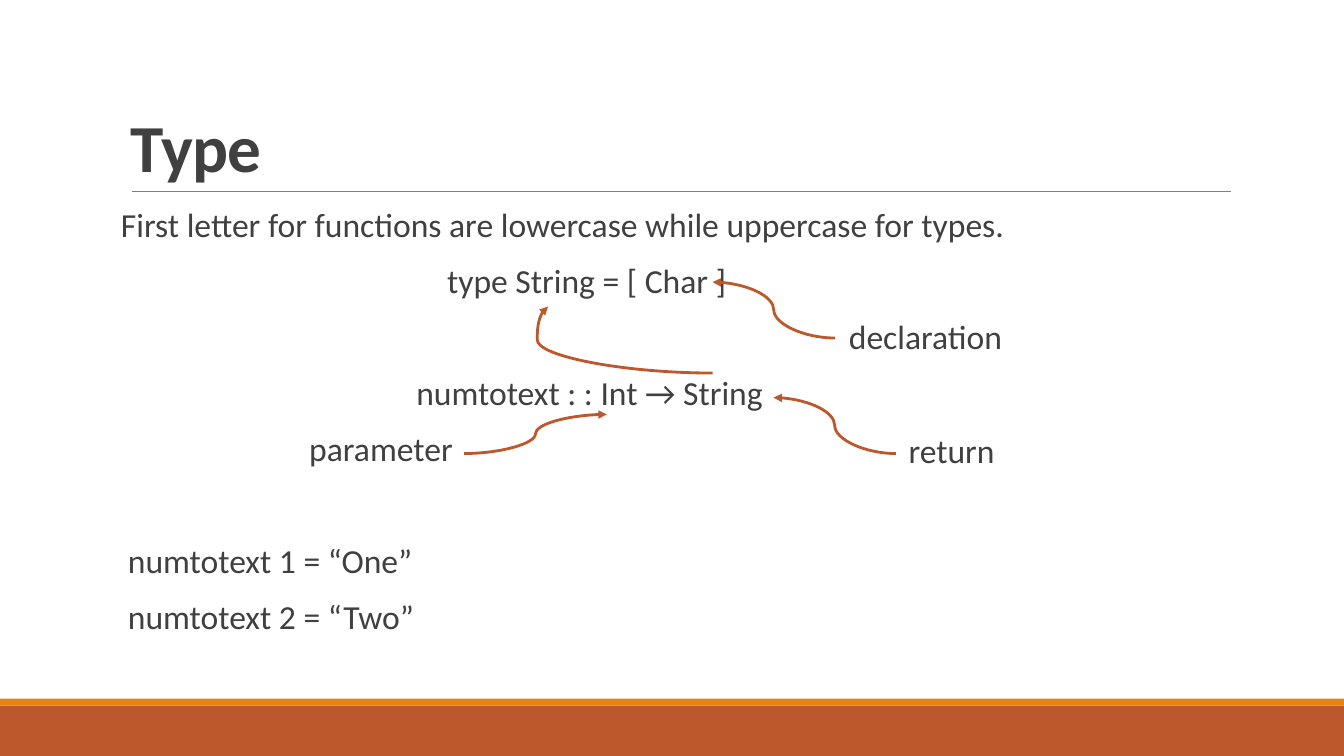
from dataclasses import dataclass

import pptx
import pptx.dml.color
import pptx.enum.shapes
import pptx.enum.text
import pptx.oxml
import pptx.oxml.ns
import pptx.util

Pt = pptx.util.Pt
Connector = pptx.enum.shapes.MSO_CONNECTOR
Anchor = pptx.enum.text.MSO_ANCHOR

WIDTH, HEIGHT = 960, 540
TEXT, RUST, ORANGE, GRAY = "404040", "BD582C", "E48312", "808080"
BODY_LEFT, BODY_TOP, BODY_WIDTH = 86.4, 145.4, 792
LINE_PITCH = 40.3


@dataclass
class Band:
    top: float
    height: float
    color: str


@dataclass
class Line:
    text: str
    indent: float = 0
    before: float = 12


@dataclass
class Arrow:
    start: tuple[float, float]
    end: tuple[float, float]
    bend: int = 50000


BANDS = [Band(504, 36, RUST), Band(499, 5, ORANGE)]

BODY = [
    Line("First letter for functions are lowercase while uppercase for types."),
    Line("type String = [ Char ]", 233),
    Line("declaration", 520),
    Line("numtotext : : Int → String", 211),
    Line("parameter", 134.5),
    Line("numtotext 1 = “One”", 5, 12 + LINE_PITCH),
    Line("numtotext 2 = “Two”", 5),
]
RETURN = Line("return")

ARROWS = [
    Arrow((596.5, 241.5), (509, 201.5)),    # declaration to type
    Arrow((640, 324), (552.5, 284)),        # return to String
    Arrow((331.5, 324), (433.5, 296)),      # parameter to Int
    Arrow((509, 266.5), (391.5, 219), 106600),  # String to its type
]


def rgb(color: str) -> pptx.dml.color.RGBColor:
    return pptx.dml.color.RGBColor.from_string(color)


def add_band(slide, band: Band) -> None:
    bar = slide.shapes.add_shape(
        pptx.enum.shapes.MSO_SHAPE.RECTANGLE, 0, Pt(band.top), Pt(WIDTH), Pt(band.height))
    bar.shadow.inherit = False
    bar.fill.solid()
    bar.fill.fore_color.rgb = rgb(band.color)
    bar.line.fill.background()


def add_line(slide, kind, start: tuple[float, float], end: tuple[float, float],
             color: str, width: float):
    line = slide.shapes.add_connector(kind, *(Pt(value) for value in start + end))
    line.line.color.rgb = rgb(color)
    line.line.width = Pt(width)
    pptx.oxml.ns.qn("a:effectLst")
    line._element.spPr.append(pptx.oxml.parse_xml(
        f'<a:effectLst {pptx.oxml.ns.nsdecls("a")}/>'))
    return line


def add_arrow(slide, arrow: Arrow) -> None:
    curve = add_line(slide, Connector.CURVE, arrow.start, arrow.end, RUST, 2)
    namespace = pptx.oxml.ns.nsdecls("a")
    curve.line._get_or_add_ln().append(
        pptx.oxml.parse_xml(f'<a:tailEnd {namespace} type="triangle"/>'))
    geometry = curve._element.spPr.find(pptx.oxml.ns.qn("a:prstGeom"))
    geometry.find(pptx.oxml.ns.qn("a:avLst")).append(pptx.oxml.parse_xml(
        f'<a:gd {namespace} name="adj1" fmla="val {arrow.bend}"/>'))


def add_frame(slide, left: float, top: float, width: float, height: float,
              side_inset: float, anchor):
    frame = slide.shapes.add_textbox(Pt(left), Pt(top), Pt(width), Pt(height)).text_frame
    frame.word_wrap = True
    frame.vertical_anchor = anchor
    frame.margin_left = frame.margin_right = Pt(side_inset)
    return frame


def format_run(paragraph, size: float, bold: bool = False):
    run = paragraph.runs[0]
    run.font.name = "Calibri"
    run.font.size = Pt(size)
    run.font.bold = bold
    run.font.color.rgb = rgb(TEXT)
    return run


def fill_frame(frame, lines: list[Line]) -> None:
    frame.text = "\n".join(line.text for line in lines)
    for paragraph, line in zip(frame.paragraphs, lines):
        paragraph.line_spacing = 0.9
        paragraph.space_before = Pt(line.before)
        paragraph.space_after = Pt(2)
        paragraph._p.get_or_add_pPr().set("marL", str(Pt(line.indent)))
        format_run(paragraph, 24)


def main() -> None:
    deck = pptx.Presentation()
    deck.slide_width, deck.slide_height = Pt(WIDTH), Pt(HEIGHT)
    slide = deck.slides.add_slide(deck.slide_layouts[6])

    # Footer bands and title rule
    for band in BANDS:
        add_band(slide, band)
    add_line(slide, Connector.STRAIGHT, (94.3, 136.8), (879, 136.8), GRAY, 0.5)

    # Title
    title = add_frame(slide, BODY_LEFT, 22.3, BODY_WIDTH, 114.5, 7.2, Anchor.BOTTOM)
    title.text = "Type"
    title.paragraphs[0].line_spacing = 0.85
    format_run(title.paragraphs[0], 48, True).font._element.set("spc", "-50")

    # Body, with the return label beside the parameter line
    fill_frame(add_frame(slide, BODY_LEFT, BODY_TOP, BODY_WIDTH, 316.8, 0, Anchor.TOP), BODY)
    fill_frame(add_frame(slide, 649, BODY_TOP + 4 * LINE_PITCH, 90, 36, 0, Anchor.TOP), [RETURN])

    # Annotation arrows
    for arrow in ARROWS:
        add_arrow(slide, arrow)

    deck.save("out.pptx")


if __name__ == "__main__":
    main()
